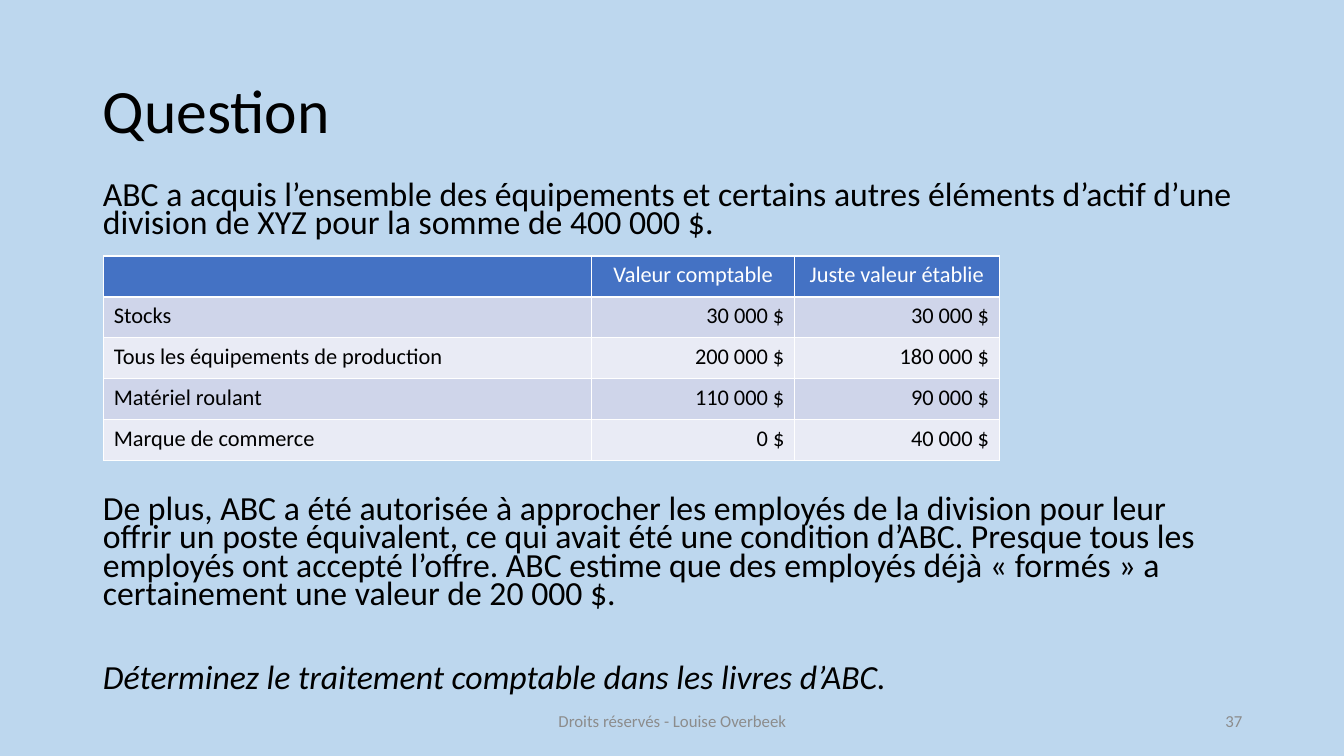
from lxml.etree import SubElement
from pptx import Presentation
from pptx.dml.color import RGBColor
from pptx.enum.text import MSO_ANCHOR, MSO_AUTO_SIZE, PP_ALIGN
from pptx.oxml.ns import qn
from pptx.util import Inches, Pt

# Content
TITLE = "Question"
# text, space before in points, italic
PARAGRAPHS = [
    ("ABC a acquis l’ensemble des équipements et certains autres éléments d’actif "
     "d’une division de XYZ pour la somme de 400 000 $.", 0, False),
    ("De plus, ABC a été autorisée à approcher les employés de la division pour leur "
     "offrir un poste équivalent, ce qui avait été une condition d’ABC. Presque tous "
     "les employés ont accepté l’offre. ABC estime que des employés déjà « formés » a "
     "certainement une valeur de 20 000 $.", 184, False),
    ("Déterminez le traitement comptable dans les livres d’ABC.", 39.5, True),
]
VALUES = [
    ("", "Valeur comptable", "Juste valeur établie"),
    ("Stocks", "30 000 $", "30 000 $"),
    ("Tous les équipements de production", "200 000 $", "180 000 $"),
    ("Matériel roulant", "110 000 $", "90 000 $"),
    ("Marque de commerce", "0 $", "40 000 $"),
]
COLUMN_WIDTHS = (4.84, 2.01, 2.03)
ROW_HEIGHT = 0.406
# text, left, width, alignment
FOOTERS = [
    ("37", 9.42, 3, PP_ALIGN.RIGHT),
    ("Droits réservés - Louise Overbeek", 4.42, 4.5, PP_ALIGN.CENTER),
]
HEADER_FILL, BAND_FILLS = "4472C4", ("E9EBF5", "CFD5EA")


def color(hex_value):
    return RGBColor.from_string(hex_value)


def place(shape, left, top, width, height):
    shape.left, shape.top = Inches(left), Inches(top)
    shape.width, shape.height = Inches(width), Inches(height)


def add_run(paragraph, text, size, hex_value="000000", italic=False):
    run = paragraph.add_run()
    run.text = text
    run.font.name, run.font.size = "Calibri", Pt(size)
    run.font.bold, run.font.italic = False, italic
    run.font.color.rgb = color(hex_value)


def set_borders(cell):
    for side in ("lnL", "lnR", "lnT", "lnB"):
        line = SubElement(cell._tc.get_or_add_tcPr(), qn(f"a:{side}"), w=str(Pt(1)))
        fill = SubElement(line, qn("a:solidFill"))
        SubElement(fill, qn("a:srgbClr"), val="FFFFFF")


def main():
    prs = Presentation()
    prs.slide_width, prs.slide_height = Inches(13.33), Inches(7.5)
    slide = prs.slides.add_slide(prs.slide_layouts[1])
    slide.background.fill.solid()
    slide.background.fill.fore_color.rgb = color("BDD7EE")

    # Title
    title = slide.shapes.title
    place(title, 0.92, 0.4, 11.5, 1.45)
    title.text_frame.vertical_anchor = MSO_ANCHOR.MIDDLE
    title.text_frame.auto_size = MSO_AUTO_SIZE.NONE
    heading = title.text_frame.paragraphs[0]
    heading.alignment, heading.line_spacing = PP_ALIGN.LEFT, 0.9
    add_run(heading, TITLE, 44)

    # Body, with room for the table after the first paragraph
    body = slide.placeholders[1]
    place(body, 0.92, 1.77, 11.5, 5.33)
    body.text_frame.auto_size = MSO_AUTO_SIZE.NONE
    for i, (text, space, italic) in enumerate(PARAGRAPHS):
        paragraph = body.text_frame.add_paragraph() if i else body.text_frame.paragraphs[0]
        properties = paragraph._p.get_or_add_pPr()
        properties.set("marL", "0")
        properties.set("indent", "0")
        SubElement(properties, qn("a:buNone"))
        paragraph.line_spacing, paragraph.space_before = 0.7, Pt(space)
        add_run(paragraph, text, 24.1, italic=italic)

    # Table of values
    table = slide.shapes.add_table(
        len(VALUES), len(COLUMN_WIDTHS), Inches(1.03), Inches(2.54),
        Inches(sum(COLUMN_WIDTHS)), Inches(ROW_HEIGHT * len(VALUES))).table
    for column, width in zip(table.columns, COLUMN_WIDTHS):
        column.width = Inches(width)
    for r, row in enumerate(VALUES):
        table.rows[r].height = Inches(ROW_HEIGHT)
        for c, text in enumerate(row):
            cell = table.cell(r, c)
            set_borders(cell)
            cell.fill.solid()
            cell.fill.fore_color.rgb = color(BAND_FILLS[r % 2] if r else HEADER_FILL)
            if text:
                entry = cell.text_frame.paragraphs[0]
                if c:
                    entry.alignment = PP_ALIGN.RIGHT if r else PP_ALIGN.CENTER
                add_run(entry, text, 16, "000000" if r else "FFFFFF")

    # Page number and copyright line
    for text, left, width, alignment in FOOTERS:
        footer = slide.shapes.add_textbox(
            Inches(left), Inches(6.95), Inches(width), Inches(0.4)).text_frame
        footer.word_wrap = True
        footer.vertical_anchor = MSO_ANCHOR.MIDDLE
        footer.paragraphs[0].alignment = alignment
        add_run(footer.paragraphs[0], text, 12, "8C8C8C")

    prs.save("out.pptx")


if __name__ == "__main__":
    main()
